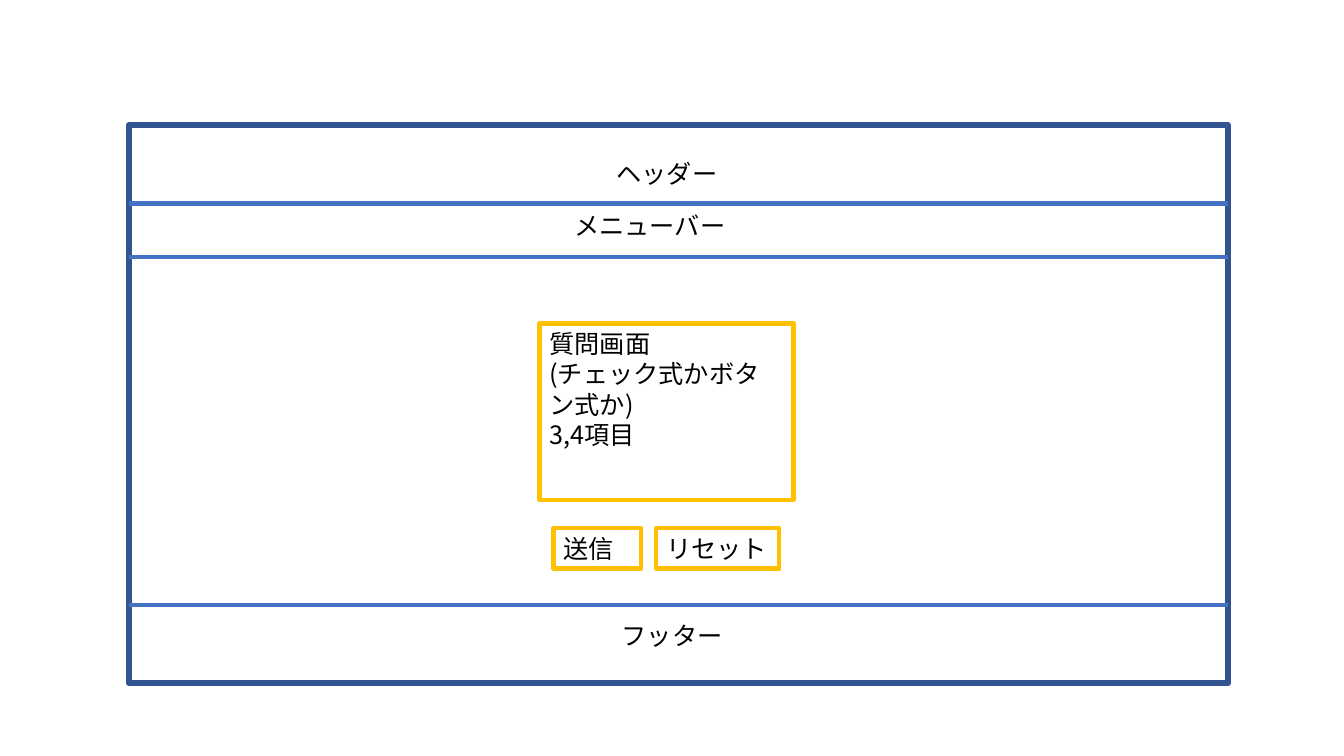
from lxml import etree
from pptx import Presentation
from pptx.dml.color import RGBColor
from pptx.enum.shapes import MSO_CONNECTOR, MSO_SHAPE
from pptx.enum.text import MSO_AUTO_SIZE, PP_ALIGN
from pptx.oxml.ns import qn
from pptx.util import Inches, Pt

RECTANGLE = MSO_SHAPE.RECTANGLE
STRAIGHT = MSO_CONNECTOR.STRAIGHT
CENTER, LEFT = PP_ALIGN.CENTER, PP_ALIGN.LEFT
NO_AUTOFIT = MSO_AUTO_SIZE.NONE

WIDTH, HEIGHT = Inches(13.33), Inches(7.5)
FONT = "Noto Sans CJK JP"
NAVY, BLUE, YELLOW, BLACK = "325491", "4472C4", "FFC000", "000000"

FRAME_LEFT, FRAME_TOP, FRAME_WIDTH, FRAME_HEIGHT = 9.6, 16.53, 81.75, 73.87
ROW_HEIGHT = 5.33
LABEL_WIDTH = 31.28
BUTTON_TOP = 69.87
DIVIDERS = (26.93, 34, 80)
LABELS = (
    ("ヘッダー", 33.98, 20.27),
    ("メニューバー", 32.71, 27.2),
    ("フッター", 34.36, 81.33),
)
FORM_BOXES = (
    (("質問画面", "(チェック式かボタン式か)", "3,4項目"), 40.14, 42.8, 18.9, 23.33),
    (("送信",), 41.19, BUTTON_TOP, 6.53, ROW_HEIGHT),
    (("リセット",), 48.84, BUTTON_TOP, 9.15, ROW_HEIGHT),
)


def across(percent):
    return round(WIDTH * percent / 100)


def down(percent):
    return round(HEIGHT * percent / 100)


def area(left, top, width, height):
    return across(left), down(top), across(width), down(height)


def color(value):
    return RGBColor.from_string(value)


def set_line(line, value, points):
    line.color.rgb = color(value)
    line.width = Pt(points)


def add_frame(page):
    frame = page.shapes.add_shape(
        RECTANGLE, *area(FRAME_LEFT, FRAME_TOP, FRAME_WIDTH, FRAME_HEIGHT)
    )
    frame.shadow.inherit = False
    frame.fill.background()
    set_line(frame.line, NAVY, 4.5)


def add_divider(page, row):
    divider = page.shapes.add_connector(
        STRAIGHT, across(FRAME_LEFT), down(row),
        across(FRAME_LEFT + FRAME_WIDTH), down(row),
    )
    set_line(divider.line, BLUE, 3)
    etree.SubElement(divider._element.spPr, qn("a:effectLst"))


def style_paragraph(para, align):
    para.alignment = align
    para.font.size = Pt(18)
    para.font.name = FONT
    para.font.color.rgb = color(BLACK)
    for properties in para._p.iter(qn("a:defRPr")):
        east_asian = etree.SubElement(properties, qn("a:ea"))
        east_asian.set("typeface", FONT)


def add_text(page, lines, place, align):
    box = page.shapes.add_textbox(*area(*place))
    frame = box.text_frame
    frame.word_wrap = True
    frame.auto_size = NO_AUTOFIT
    frame.text = "\n".join(lines)
    for para in frame.paragraphs:
        style_paragraph(para, align)
    return box


def main():
    deck = Presentation()
    deck.slide_width, deck.slide_height = WIDTH, HEIGHT
    page = deck.slides.add_slide(deck.slide_layouts[6])
    add_frame(page)
    for row in DIVIDERS:
        add_divider(page, row)
    for text, left, top in LABELS:
        add_text(page, (text,), (left, top, LABEL_WIDTH, ROW_HEIGHT), CENTER)
    for lines, *place in FORM_BOXES:
        box = add_text(page, lines, place, LEFT)
        set_line(box.line, YELLOW, 3)
    deck.save("out.pptx")


if __name__ == "__main__":
    main()
